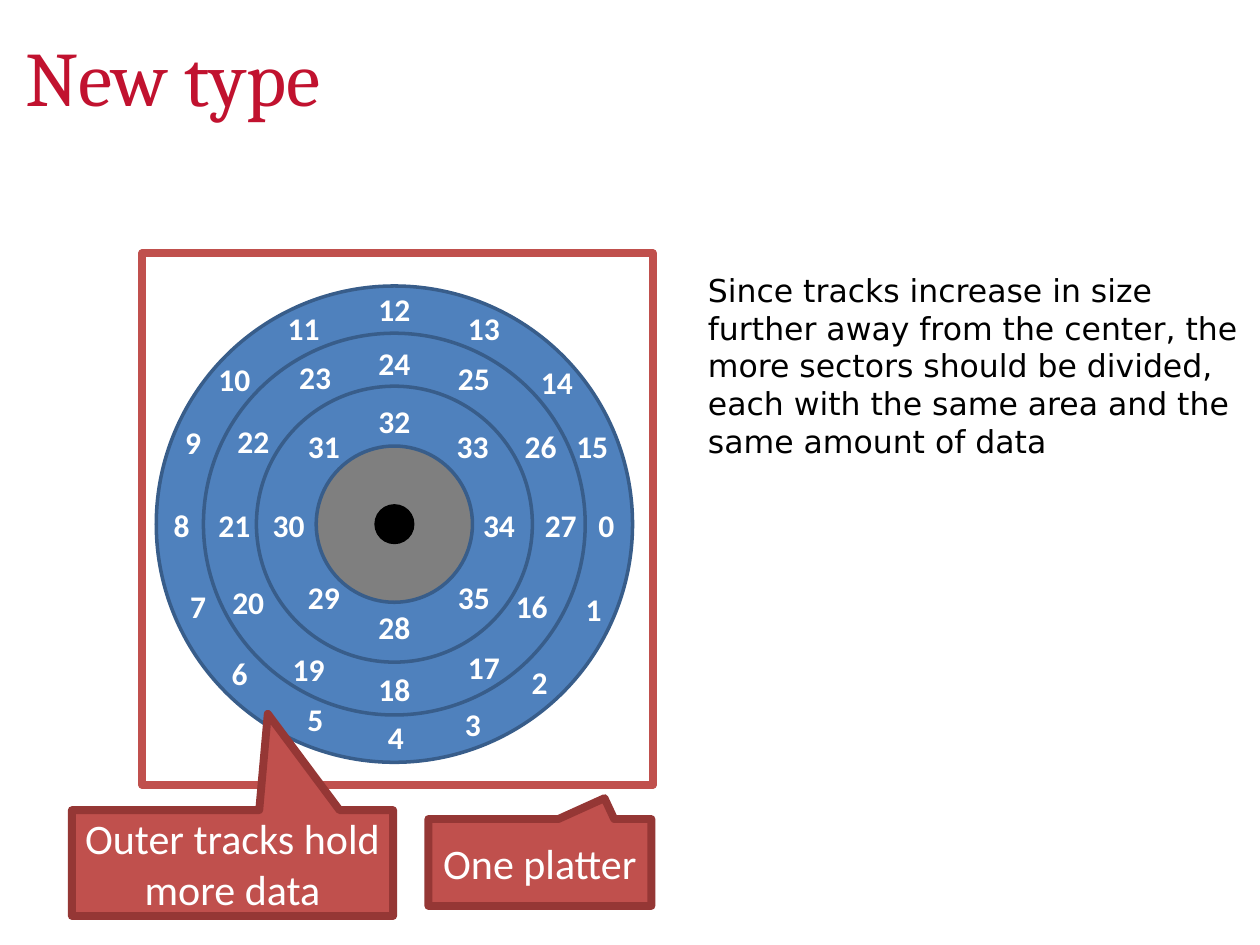
from pptx import Presentation
from pptx.dml.color import RGBColor
from pptx.enum.shapes import MSO_SHAPE
from pptx.enum.text import MSO_ANCHOR, PP_ALIGN
from pptx.util import Inches, Pt

OVAL = MSO_SHAPE.OVAL
RECTANGLE = MSO_SHAPE.RECTANGLE
CALLOUT = MSO_SHAPE.RECTANGULAR_CALLOUT
LEFT, CENTER = PP_ALIGN.LEFT, PP_ALIGN.CENTER
TOP, MIDDLE = MSO_ANCHOR.TOP, MSO_ANCHOR.MIDDLE

BLUE, DARK_BLUE = "4F81BD", "385D8A"
RED, DARK_RED = "C0504D", "953735"
GRAY, BLACK, WHITE, TITLE_RED = "7F7F7F", "000000", "FFFFFF", "C1122F"

# Discs from the outer track to the spindle: diameter, fill, line
DISCS = [
    (3.78, BLUE, DARK_BLUE),
    (3.03, BLUE, DARK_BLUE),
    (2.19, BLUE, DARK_BLUE),
    (1.24, GRAY, DARK_BLUE),
    (0.29, BLACK, BLACK),
]

# Label centers by sector number, as offsets from the spindle
SECTORS = [
    # Outer track, 0 to 15
    (1.68, 0.01), (1.58, 0.67), (1.15, 1.25), (0.62, 1.59),
    (0.01, 1.69), (-0.63, 1.55), (-1.23, 1.18), (-1.56, 0.65),
    (-1.69, 0.01), (-1.6, -0.65), (-1.27, -1.15), (-0.72, -1.56),
    (0, -1.71), (0.71, -1.56), (1.29, -1.13), (1.57, -0.62),
    # Middle track, 16 to 27
    (1.09, 0.65), (0.71, 1.13), (0, 1.31), (-0.68, 1.15),
    (-1.16, 0.62), (-1.27, 0.01), (-1.12, -0.66), (-0.63, -1.17),
    (0, -1.28), (0.63, -1.16), (1.16, -0.62), (1.32, 0.01),
    # Inner track, 28 to 35
    (0, 0.82), (-0.56, 0.58), (-0.84, 0.01), (-0.56, -0.62),
    (0, -0.82), (0.62, -0.62), (0.83, 0.01), (0.63, 0.58),
]


def rgb(color):
    return RGBColor.from_string(color)


def write(frame, text, size, font="Calibri", color=WHITE, bold=False,
          align=CENTER, anchor=TOP, wrap=True):
    frame.word_wrap = wrap
    frame.vertical_anchor = anchor
    paragraph = frame.paragraphs[0]
    paragraph.alignment = align
    run = paragraph.add_run()
    run.text = text
    run.font.size = Pt(size)
    run.font.name = font
    run.font.bold = bold
    run.font.color.rgb = rgb(color)


def add_outline(parent, kind, box, fill, line, weight):
    shape = parent.add_shape(kind, *map(Inches, box))
    shape.shadow.inherit = False
    if fill:
        shape.fill.solid()
        shape.fill.fore_color.rgb = rgb(fill)
    else:
        shape.fill.background()
    shape.line.color.rgb = rgb(line)
    shape.line.width = Pt(weight)
    return shape


def add_text(parent, box, text, size, **style):
    frame = parent.add_textbox(*map(Inches, box)).text_frame
    write(frame, text, size, **style)
    return frame


def add_title(slide, box):
    frame = add_text(slide.shapes, box, "New type", 44, font="Cambria",
                     color=TITLE_RED, align=LEFT, anchor=MIDDLE)
    frame.margin_left = frame.margin_right = frame.margin_bottom = 0
    frame.margin_top = Inches(0.01)


def add_platter(slide, box):
    left, top, width, height = box
    center_x, center_y = left + 2, top + 2.15
    platter = slide.shapes.add_group_shape().shapes

    # Tracks, hub and spindle
    for diameter, fill, line in DISCS:
        disc = (center_x - diameter / 2, center_y - diameter / 2, diameter, diameter)
        add_outline(platter, OVAL, disc, fill, line, 2)

    # Sector numbers
    for sector, (dx, dy) in enumerate(SECTORS):
        label_width = 0.32 if sector < 10 else 0.45
        label = (center_x + dx - label_width / 2, center_y + dy - 0.2, label_width, 0.4)
        add_text(platter, label, str(sector), 18, bold=True, wrap=False)

    # Frame around the platter
    add_outline(slide.shapes, RECTANGLE, box, None, RED, 4.5)


def add_callout(slide, box, text, tip):
    callout = add_outline(slide.shapes, CALLOUT, box, RED, DARK_RED, 4.5)
    for index, value in enumerate(tip):
        callout.adjustments[index] = value
    write(callout.text_frame, text, 24, anchor=MIDDLE)


def add_explanation(slide, box):
    add_text(slide.shapes, box,
             "Since tracks increase in size further away from the center, "
             "the more sectors should be divided, each with the same area "
             "and the same amount of data",
             18, font="DejaVu Sans", color=BLACK, align=LEFT)


def main():
    presentation = Presentation()
    presentation.slide_width = Inches(10)
    presentation.slide_height = Inches(7.5)
    slide = presentation.slides.add_slide(presentation.slide_layouts[6])

    add_platter(slide, (1.13, 2.01, 4.05, 4.22))
    add_callout(slide, (3.4, 6.5, 1.77, 0.69), "One platter", (0.29, -0.74))
    add_callout(slide, (0.57, 6.43, 2.55, 0.84), "Outer tracks hold more data",
                (0.11, -1.41))
    add_explanation(slide, (5.52, 2.1, 4.48, 1.6))
    add_title(slide, (0.2, 0.22, 2.7, 0.75))

    presentation.save("out.pptx")


if __name__ == "__main__":
    main()
